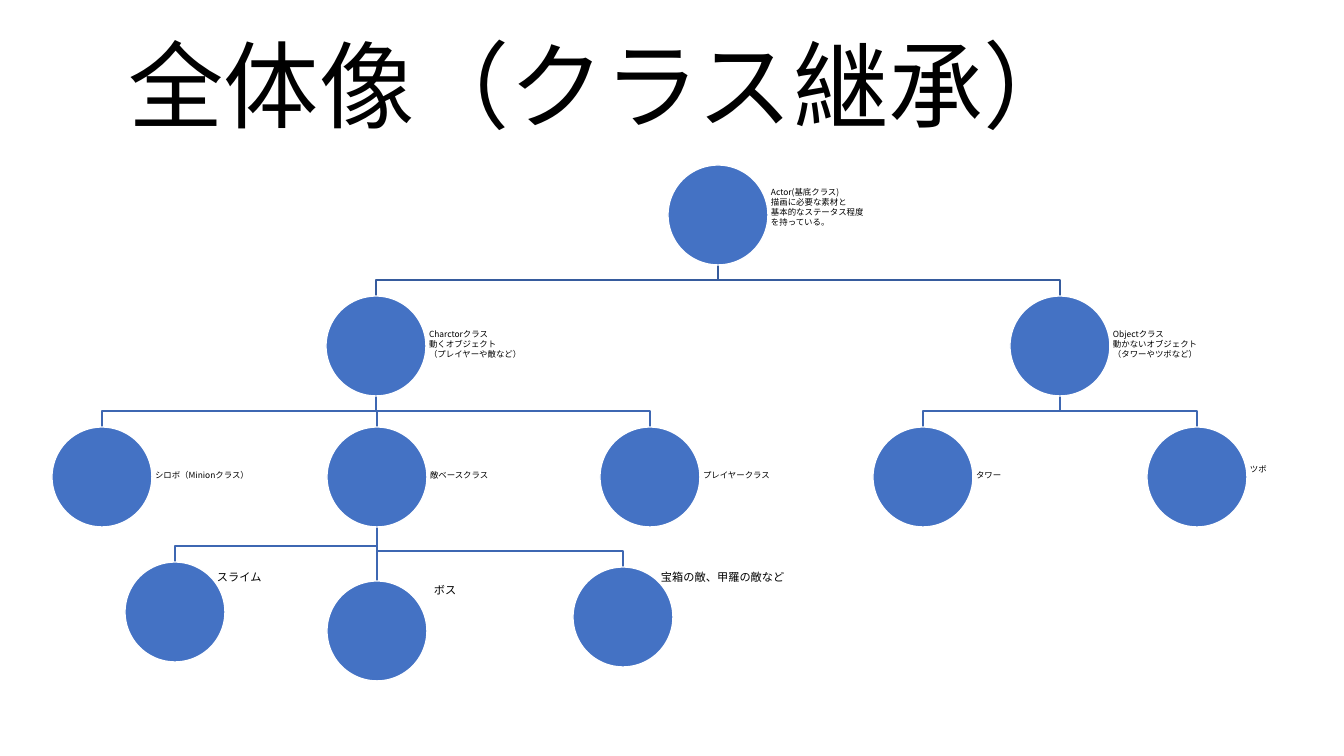
from collections import namedtuple

from lxml import etree
from pptx import Presentation
from pptx.dml.color import RGBColor
from pptx.enum.shapes import MSO_CONNECTOR, MSO_SHAPE
from pptx.enum.text import MSO_ANCHOR, MSO_AUTO_SIZE, PP_ALIGN
from pptx.oxml.ns import qn
from pptx.util import Emu, Pt

STRAIGHT = MSO_CONNECTOR.STRAIGHT
ELLIPSE = MSO_SHAPE.OVAL
TOP, MIDDLE = MSO_ANCHOR.TOP, MSO_ANCHOR.MIDDLE
NO_FIT, GROW = MSO_AUTO_SIZE.NONE, MSO_AUTO_SIZE.SHAPE_TO_FIT_TEXT
LEFT, CENTER = PP_ALIGN.LEFT, PP_ALIGN.CENTER
FONT = "Noto Sans CJK JP"
BLACK, WHITE, BLUE = "000000", "FFFFFF", "4472C4"
ROOT_LINE, BRANCH_LINE = "365B9D", "3E67B2"
PIXEL = 914400 / 100.8
DIAMETER = 100
ROW = 131
ELBOW = 16

Box = namedtuple("Box", "left top width height")
Node = namedtuple("Node", "left top parent lines lift", defaults=(0,))
Note = namedtuple("Note", "node dx dy width text")

NODES = {
    "actor": Node(616, 0, None, ["Actor(基底クラス)", "描画に必要な素材と",
                                 "基本的なステータス程度", "を持っている。"], 6),
    "character": Node(274, ROW, "actor", ["Charctorクラス", "動くオブジェクト",
                                          "（プレイヤーや敵など）"]),
    "object": Node(958, ROW, "actor", ["Objectクラス", "動かないオブジェクト",
                                       "（タワーやツボなど）"]),
    "minion": Node(0, 2 * ROW, "character", ["シロボ（Minionクラス）"]),
    "enemy": Node(275, 2 * ROW, "character", ["敵ベースクラス"]),
    "player": Node(548, 2 * ROW, "character", ["プレイヤークラス"]),
    "tower": Node(821, 2 * ROW, "object", ["タワー"]),
    "pot": Node(1095, 2 * ROW, "object", ["ツボ"], 6),
    "slime": Node(73, 397, "enemy", []),
    "boss": Node(275, 416, "enemy", []),
    "chest": Node(521, 402, "enemy", []),
}
NOTES = [
    Note("slime", 82, 3, 66, "スライム"),
    Note("boss", 97, -3, 43, "ボス"),
    Note("chest", 78, -2, 145, "宝箱の敵、甲羅の敵など"),
]


def px(value):
    """Turn pixels into EMU."""
    return Emu(round(value * PIXEL))


def color(hex_code):
    """Turn a hex string into a colour."""
    return RGBColor.from_string(hex_code)


def apply(target, values):
    """Set each attribute in a dict of format values."""
    for name, value in values.items():
        setattr(target, name, value)


def set_line(shape, hex_code):
    """Give a shape a one-point line."""
    shape.line.color.rgb = color(hex_code)
    shape.line.width = Pt(1)


def write_text(shape, lines, size, frame_format, paragraph_format):
    """Write one paragraph per line of text."""
    frame = shape.text_frame
    apply(frame, frame_format)
    frame.text = "\n".join(lines)
    for paragraph in frame.paragraphs:
        apply(paragraph, paragraph_format)
        for run in paragraph.runs:
            apply(run.font, {"size": Pt(size), "name": FONT})
            run.font.color.rgb = color(BLACK)
            properties = run.font._element
            etree.SubElement(properties, qn("a:ea"), typeface=FONT)


def draw_title(slide, box):
    """Place the slide title in the box."""
    title = slide.shapes.title
    apply(title, {name: px(value) for name, value in box._asdict().items()})
    write_text(title, ["全体像（クラス継承）"], 68,
               {"vertical_anchor": TOP, "auto_size": NO_FIT, "word_wrap": True},
               {"alignment": CENTER, "line_spacing": 0.8, "space_before": Pt(10)})


def draw_branch(slide, box, parent, child):
    """Join a parent's bottom to a child's top with a stepped line."""
    start_x = box.left + parent.left + DIAMETER / 2
    end_x = box.left + child.left + DIAMETER / 2
    start_y = box.top + parent.top + DIAMETER
    end_y = box.top + child.top
    if start_x == end_x:
        line = slide.shapes.add_connector(
            STRAIGHT, px(start_x), px(start_y), px(end_x), px(end_y))
        etree.SubElement(line._element.spPr, qn("a:effectLst"))
    else:
        bend_y = end_y - ELBOW
        builder = slide.shapes.build_freeform(px(start_x), px(start_y))
        builder.add_line_segments(
            [(px(x), px(y)) for x, y in
             [(start_x, bend_y), (end_x, bend_y), (end_x, end_y)]], close=False)
        line = builder.convert_to_shape()
        line.fill.background()
        line.shadow.inherit = False
    set_line(line, BRANCH_LINE if parent.parent else ROOT_LINE)


def draw_node(slide, box, node):
    """Draw a class circle and the label at its right."""
    left, top = box.left + node.left, box.top + node.top
    circle = slide.shapes.add_shape(
        ELLIPSE, px(left), px(top), px(DIAMETER), px(DIAMETER))
    circle.shadow.inherit = False
    circle.fill.solid()
    circle.fill.fore_color.rgb = color(BLUE)
    set_line(circle, WHITE)
    if node.lines:
        label = slide.shapes.add_textbox(
            px(left + DIAMETER), px(top - 1 - node.lift), px(149), px(DIAMETER))
        margins = {f"margin_{side}": px(3)
                   for side in ("left", "top", "right", "bottom")}
        write_text(label, node.lines, 6,
                   {"word_wrap": True, "vertical_anchor": MIDDLE, **margins},
                   {"alignment": LEFT, "line_spacing": 0.9, "space_after": Pt(0.75)})


def draw_note(slide, box, note):
    """Place a free label beside its circle."""
    node = NODES[note.node]
    label = slide.shapes.add_textbox(
        px(box.left + node.left + note.dx), px(box.top + node.top + note.dy),
        px(note.width), px(24))
    write_text(label, [note.text], 8, {"word_wrap": False, "auto_size": GROW},
               {"alignment": LEFT})


def draw_class_tree(slide, box):
    """Draw the inheritance tree: lines first, then circles and labels."""
    for node in NODES.values():
        if node.parent:
            draw_branch(slide, box, NODES[node.parent], node)
    for node in NODES.values():
        draw_node(slide, box, node)
    for note in NOTES:
        draw_note(slide, box, note)


def main():
    """Build and save the presentation."""
    presentation = Presentation()
    apply(presentation, {"slide_width": px(1344), "slide_height": px(756)})
    slide = presentation.slides.add_slide(
        presentation.slide_layouts.get_by_name("Title Only"))
    draw_title(slide, Box(100, 43, 1008, 182))
    draw_class_tree(slide, Box(52, 165, 1195, 516))
    presentation.save("out.pptx")


main()
